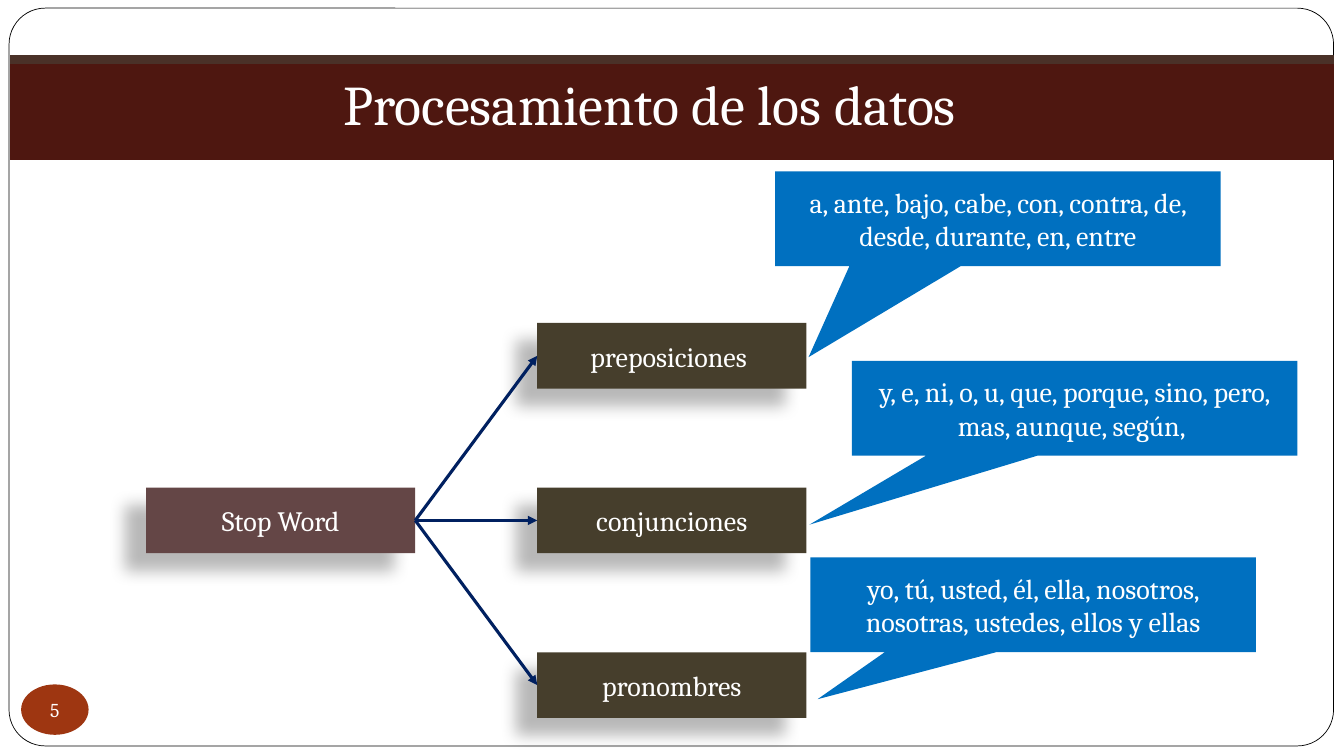
from dataclasses import dataclass

from lxml.etree import SubElement
from pptx import Presentation
from pptx.dml.color import RGBColor
from pptx.enum.shapes import MSO_CONNECTOR as Connector
from pptx.enum.shapes import MSO_SHAPE as Shape
from pptx.enum.text import MSO_ANCHOR as Anchor
from pptx.enum.text import PP_ALIGN as Align
from pptx.oxml.ns import qn
from pptx.util import Pt


@dataclass(frozen=True)
class Theme:
    """Colours, font and type sizes of the slide."""

    font: str = "Cambria"
    white: str = "FFFFFF"
    outline: str = "000000"
    banner_edge: str = "4A3128"
    banner: str = "4E1710"
    badge: str = "9E3611"
    root: str = "644646"
    category: str = "463E2C"
    callout: str = "0070C0"
    arrow: str = "002060"
    title_size: int = 40
    body_size: int = 20
    badge_size: int = 14


THEME = Theme()
RIGHT_SITE, LEFT_SITE = 3, 1
ROOT_BOX = (104.4, 348.3, 192.24, 46.9)
CATEGORY_LEFT = 383.76
CATEGORY_STEP = 117.6
CALLOUT_SIZE = (318.24, 67.7)
CATEGORIES = ["preposiciones ", "conjunciones", "pronombres"]
CALLOUTS = [
    ("a, ante, bajo, cabe, con, contra, de, desde, durante, en, entre",
     553.68, 122.4, (-0.425, 1.461)),
    ("y, e, ni, o, u, que, porque, sino, pero, mas, aunque, según, ",
     608.4, 257.8, (-0.595, 1.228)),
    ("yo, tú, usted, él, ella, nosotros, nosotras, ustedes, ellos y ellas",
     578.88, 398.2, (-0.484, 0.996)),
]


def write(shape, text, size, anchor=Anchor.MIDDLE):
    """Put centred white text into a shape."""
    frame = shape.text_frame
    frame.text = text
    frame.word_wrap = True
    frame.vertical_anchor = anchor
    paragraph = frame.paragraphs[0]
    paragraph.alignment = Align.CENTER
    font = paragraph.runs[0].font
    font.name = THEME.font
    font.size = Pt(size)
    font.color.rgb = RGBColor.from_string(THEME.white)


def add_filled(slide, kind, box, fill, line=None):
    """Add a flat shape with an optional thin outline."""
    shape = slide.shapes.add_shape(kind, *map(Pt, box))
    shape.shadow.inherit = False
    shape.fill.solid()
    shape.fill.fore_color.rgb = RGBColor.from_string(fill)
    if line:
        shape.line.color.rgb = RGBColor.from_string(line)
        shape.line.width = Pt(0.5)
    else:
        shape.line.fill.background()
    return shape


def add_frame(slide):
    """Draw the rounded border and the title banner."""
    border = add_filled(slide, Shape.ROUNDED_RECTANGLE, (6.5, 5.8, 946.1, 527),
                        THEME.white, THEME.outline)
    border.adjustments[0] = 0.049
    for top, height, colour in ((39.6, 74.2, THEME.banner_edge),
                                (46.1, 67.7, THEME.banner)):
        add_filled(slide, Shape.RECTANGLE, (7.2, top, 945.4, height), colour, colour)


def place_title(slide, text):
    """Set the title over the banner."""
    title = slide.shapes.title
    title.left, title.top, title.width, title.height = map(Pt, (214.6, 46.1, 499, 67.7))
    write(title, text, THEME.title_size, Anchor.TOP)
    title.element.getparent().append(title.element)


def add_badge(slide, number):
    """Add the oval page number."""
    badge = add_filled(slide, Shape.OVAL, (15.1, 488.9, 48.2, 36), THEME.badge)
    write(badge, number, THEME.badge_size)
    frame = badge.text_frame
    frame.word_wrap = False
    frame.margin_left = frame.margin_right = frame.margin_top = frame.margin_bottom = 0


def add_node(slide, text, box, fill):
    """Add a diagram box with a soft shadow to the lower left."""
    node = add_filled(slide, Shape.RECTANGLE, box, fill)
    write(node, text, THEME.body_size)
    effects = node.element.spPr.find(qn("a:effectLst"))
    shadow = SubElement(effects, qn("a:outerShdw"), blurRad=str(Pt(11.8)),
                        dist=str(Pt(19.7)), dir=str(141 * 60000),
                        algn="ctr", rotWithShape="0")
    colour = SubElement(shadow, qn("a:srgbClr"), val=THEME.outline)
    SubElement(colour, qn("a:alpha"), val="28000")
    return node


def add_arrow(slide, source, target):
    """Connect two diagram boxes with an arrow."""
    arrow = slide.shapes.add_connector(Connector.STRAIGHT, 0, 0, 0, 0)
    arrow.begin_connect(source, RIGHT_SITE)
    arrow.end_connect(target, LEFT_SITE)
    arrow.line.color.rgb = RGBColor.from_string(THEME.arrow)
    arrow.line.width = Pt(2.25)
    SubElement(arrow.line._get_or_add_ln(), qn("a:tailEnd"), type="triangle")
    SubElement(arrow.element.spPr, qn("a:effectLst"))


def add_callout(slide, text, left, top, tip):
    """Add a speech callout whose tip points at a category."""
    callout = add_filled(slide, Shape.RECTANGULAR_CALLOUT,
                         (left, top, *CALLOUT_SIZE), THEME.callout)
    callout.adjustments[0], callout.adjustments[1] = tip
    write(callout, text, THEME.body_size)


def main():
    """Build and save the slide."""
    deck = Presentation()
    deck.slide_width, deck.slide_height = Pt(960), Pt(540)
    slide = deck.slides.add_slide(deck.slide_layouts[5])
    add_frame(slide)
    place_title(slide, "Procesamiento de los datos")
    add_badge(slide, "5")

    root = add_node(slide, "Stop Word", ROOT_BOX, THEME.root)
    _, middle_top, width, height = ROOT_BOX
    categories = [
        add_node(slide, name,
                 (CATEGORY_LEFT, middle_top + (row - 1) * CATEGORY_STEP, width, height),
                 THEME.category)
        for row, name in enumerate(CATEGORIES)
    ]
    for category in categories:
        add_arrow(slide, root, category)
    for callout in CALLOUTS:
        add_callout(slide, *callout)
    deck.save("out.pptx")


if __name__ == "__main__":
    main()
